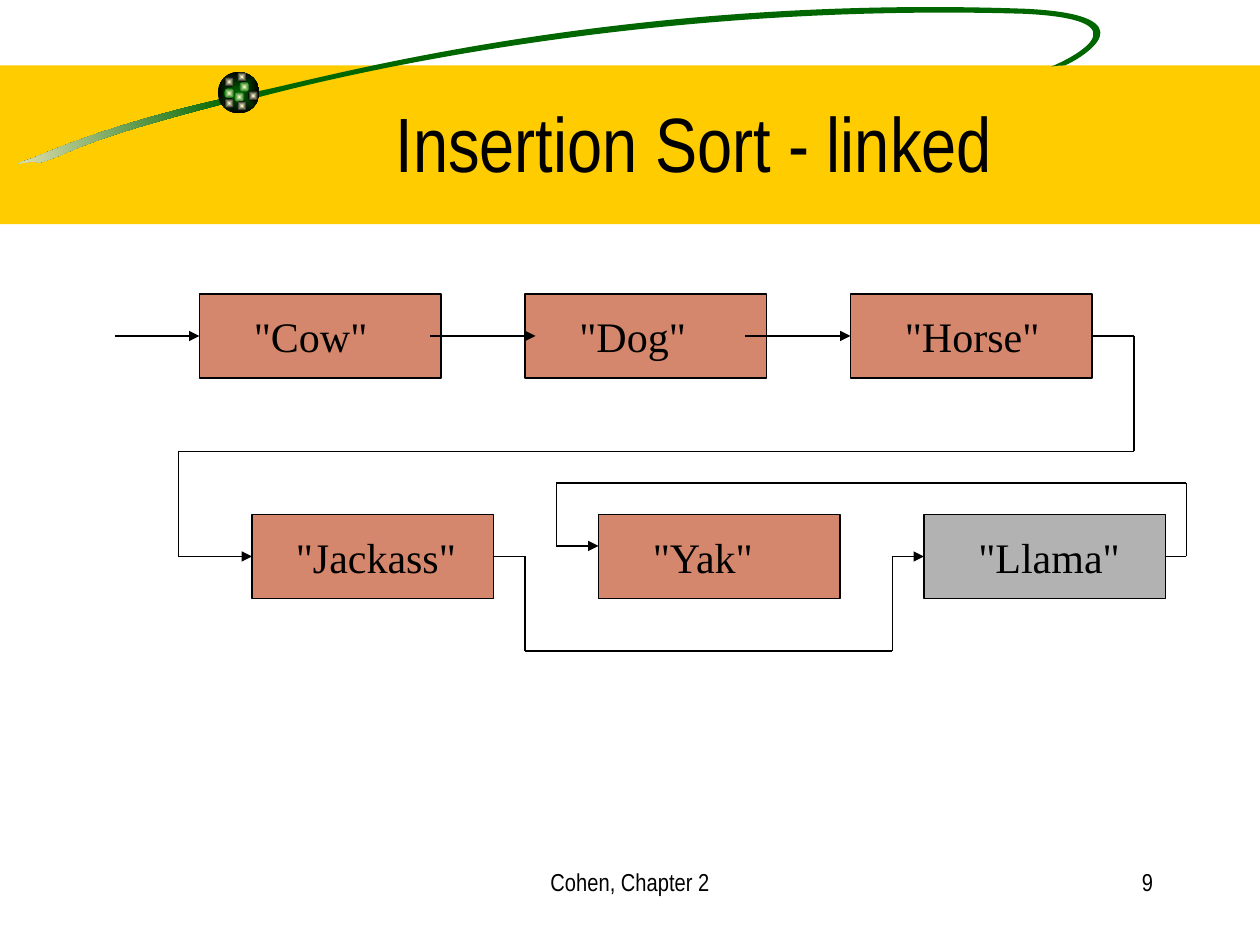
from math import cos, radians, sin

from lxml.etree import SubElement
from pptx import Presentation
from pptx.dml.color import RGBColor
from pptx.enum.shapes import MSO_CONNECTOR, MSO_SHAPE
from pptx.enum.text import MSO_ANCHOR, MSO_AUTO_SIZE, PP_ALIGN
from pptx.oxml import parse_xml
from pptx.oxml.ns import nsdecls, qn
from pptx.util import Inches, Pt

BLACK = RGBColor(0x00, 0x00, 0x00)
WHITE = RGBColor(0xFF, 0xFF, 0xFF)
GREEN = RGBColor(0x00, 0x66, 0x00)
YELLOW = RGBColor(0xFF, 0xCC, 0x00)
CREAM = RGBColor(0xF5, 0xEB, 0xC1)
PALE_YELLOW = RGBColor(0xFF, 0xFF, 0xCC)
CLAY = RGBColor(0xD4, 0x87, 0x6C)
GREY = RGBColor(0xB2, 0xB2, 0xB2)

# The slide is a grid of 120 columns and 90 rows, twelve cells to the inch
CELL = Inches(1) / 12


def write_text(shape, text, font_name, size, alignment):
    frame = shape.text_frame
    frame.word_wrap = True
    paragraph = frame.paragraphs[0]
    paragraph.alignment = alignment
    run = paragraph.add_run()
    run.text = text
    run.font.name = font_name
    run.font.size = Pt(size)
    run.font.color.rgb = BLACK


def set_gradient(shape, first, last, from_center=False):
    """Blend first to last, right to left or from the rim to the centre."""
    shape.fill.gradient()
    shape.fill.gradient_angle = 180
    for stop, color, position in zip(shape.fill.gradient_stops, (first, last), (0, 1)):
        stop.color.rgb = color
        stop.position = position
    if from_center:
        linear = next(shape.element.iter(qn("a:lin")))
        linear.getparent().replace(linear, parse_xml(
            f'<a:path {nsdecls("a")} path="rect">'
            '<a:fillToRect l="50000" t="50000" r="50000" b="50000"/></a:path>'))


presentation = Presentation()
presentation.slide_width = Inches(10)
presentation.slide_height = Inches(7.5)
slide = presentation.slides.add_slide(presentation.slide_layouts[5])
shapes = slide.shapes

# Title band
band = shapes.add_shape(
    MSO_SHAPE.RECTANGLE, 0, Inches(0.52), presentation.slide_width, Inches(1.26))
band.shadow.inherit = False
band.fill.solid()
band.fill.fore_color.rgb = YELLOW
band.line.fill.background()

# Swoosh, in inches: a start, then two control points and an end for each curve
TILT = 8.5
tail_center = (0.89, 1.06)
tail_points = [
    (1.78, 0.78),
    (0.91, 0.98), (0.49, 1.16), (0.25, 1.26),
    (0.01, 1.34), (0.26, 1.26), (0.31, 1.29),
    (0.57, 1.22), (0.57, 1.13), (1.79, 0.82),
]
loop_center = (5.59, 0.4)
loop_points = [
    (2.02, 0.73),
    (2.46, 0.65), (4.86, -0.05), (8.14, 0.07),
    (9.17, 0.12), (8.57, 0.47), (8.45, 0.52),
    (8.45, 0.52), (8.38, 0.52), (8.34, 0.53),
    (8.44, 0.49), (9.16, 0.16), (8.13, 0.11),
    (5.48, 0.03), (3.2, 0.47), (2.06, 0.77),
]
cosine, sine = cos(radians(TILT)), sin(radians(TILT))
swooshes = []
for (center_x, center_y), points in (
    (tail_center, tail_points), (loop_center, loop_points),
):
    # Lay the outline level, then tilt the whole shape
    level = [
        (Inches(center_x + (x - center_x) * cosine - (y - center_y) * sine),
         Inches(center_y + (x - center_x) * sine + (y - center_y) * cosine))
        for x, y in points]
    builder = shapes.build_freeform(*level[0])
    builder.add_line_segments(level[1:], close=True)
    swoosh = builder.convert_to_shape()
    swoosh.rotation = 360 - TILT
    swoosh.shadow.inherit = False
    swoosh.line.fill.background()
    # Every three line segments become one cubic curve
    segments = list(swoosh.element.iter(qn("a:lnTo")))
    for index in range(0, len(points) - 1, 3):
        curve = parse_xml(f'<a:cubicBezTo {nsdecls("a")}/>')
        segments[index].addprevious(curve)
        for segment in segments[index:index + 3]:
            curve.append(segment[0])
            segment.getparent().remove(segment)
    swooshes.append(swoosh)
tail, loop = swooshes
set_gradient(tail, GREEN, CREAM)
loop.fill.solid()
loop.fill.fore_color.rgb = GREEN

# Ball with its spots: left, top, diameter, rim and centre colours
SPOT = 0.08
ball_parts = [
    (1.73, 0.57, 0.33, GREEN, BLACK),
    (1.9, 0.65, SPOT, PALE_YELLOW, GREEN),
    (1.78, 0.61, SPOT, PALE_YELLOW, BLACK),
    (1.78, 0.7, SPOT, PALE_YELLOW, GREEN),
    (1.86, 0.73, SPOT, PALE_YELLOW, GREEN),
    (1.97, 0.72, SPOT, PALE_YELLOW, BLACK),
    (1.88, 0.8, SPOT, PALE_YELLOW, BLACK),
    (1.78, 0.78, SPOT, PALE_YELLOW, BLACK),
    (1.88, 0.57, SPOT, PALE_YELLOW, BLACK),
]
for left, top, diameter, first, last in ball_parts:
    circle = shapes.add_shape(
        MSO_SHAPE.OVAL, Inches(left), Inches(top), Inches(diameter), Inches(diameter))
    circle.shadow.inherit = False
    circle.line.fill.background()
    set_gradient(circle, first, last, from_center=True)

# Half-transparent panel down the left side
panel = shapes.add_shape(
    MSO_SHAPE.RECTANGLE, Inches(0.74), Inches(2.06), Inches(1.22), Inches(5.44))
panel.shadow.inherit = False
panel.line.fill.background()
panel.fill.solid()
panel.fill.fore_color.rgb = WHITE
SubElement(next(panel.element.spPr.iter(qn("a:srgbClr"))), qn("a:alpha"), val="50000")

# Title, raised above the band
title = shapes.title
panel.element.addnext(title.element)
title.left, title.top = Inches(1.26), Inches(0.5)
title.width, title.height = Inches(8.5), Inches(1.25)
title.text_frame.vertical_anchor = MSO_ANCHOR.MIDDLE
write_text(title, "Insertion Sort - linked", "Arial Narrow", 44, PP_ALIGN.CENTER)

# List nodes: word, column, row, label indent, label width, colour
NODE_WIDTH, NODE_HEIGHT = 23, 8
nodes = [
    ('"Cow"', 19, 28, 4, 17, CLAY),
    ('"Dog"', 50, 28, 4, 17, CLAY),
    ('"Horse"', 81, 28, 4, 17, CLAY),
    ('"Jackass"', 24, 49, 3, 19, CLAY),
    ('"Yak"', 57, 49, 4, 17, CLAY),
    ('"Llama"', 88, 49, 4, 17, GREY),
]
side_middles = {}
for word, column, row, indent, label_width, color in nodes:
    node = shapes.add_shape(
        MSO_SHAPE.RECTANGLE, round(column * CELL), round(row * CELL),
        round(NODE_WIDTH * CELL), round(NODE_HEIGHT * CELL))
    node.shadow.inherit = False
    node.fill.solid()
    node.fill.fore_color.rgb = color
    node.line.color.rgb = BLACK
    node.line.width = Pt(0.75)
    label = shapes.add_textbox(
        round((column + indent) * CELL), round((row + 1) * CELL),
        round(label_width * CELL), round(6 * CELL))
    write_text(label, word, "Times New Roman", 24, PP_ALIGN.LEFT)
    label.text_frame.auto_size = MSO_AUTO_SIZE.SHAPE_TO_FIT_TEXT
    middle = row + NODE_HEIGHT // 2
    side_middles[column, middle] = (node, 1)
    side_middles[column + NODE_WIDTH, middle] = (node, 3)

# Links between nodes, as corner points; each ends in an arrowhead
links = [
    [(11, 32), (19, 32)],
    [(41, 32), (51, 32)],
    [(71, 32), (81, 32)],
    [(104, 32), (108, 32), (108, 43), (17, 43), (17, 53), (24, 53)],
    [(47, 53), (50, 53), (50, 62), (85, 62), (85, 53), (88, 53)],
    [(111, 53), (113, 53), (113, 46), (53, 46), (53, 52), (57, 52)],
]
for corners in links:
    for start, end in zip(corners, corners[1:]):
        connector = shapes.add_connector(
            MSO_CONNECTOR.STRAIGHT, *(round(cells * CELL) for cells in start + end))
        if start in side_middles:
            connector.begin_connect(*side_middles[start])
        if end in side_middles:
            connector.end_connect(*side_middles[end])
        connector.line.color.rgb = BLACK
        connector.line.width = Pt(0.75)
        if end == corners[-1]:
            SubElement(connector.line._get_or_add_ln(), qn("a:tailEnd"), type="triangle")
        SubElement(connector.element.spPr, qn("a:effectLst"))

# Footer and slide number
for text, column, width, alignment in (
    ("Cohen, Chapter 2", 41, 38, PP_ALIGN.CENTER),
    ("9", 86, 25, PP_ALIGN.RIGHT),
):
    footer = shapes.add_textbox(
        round(column * CELL), round(82 * CELL), round(width * CELL), round(6 * CELL))
    write_text(footer, text, "Arial Narrow", 14, alignment)

presentation.save("out.pptx")
